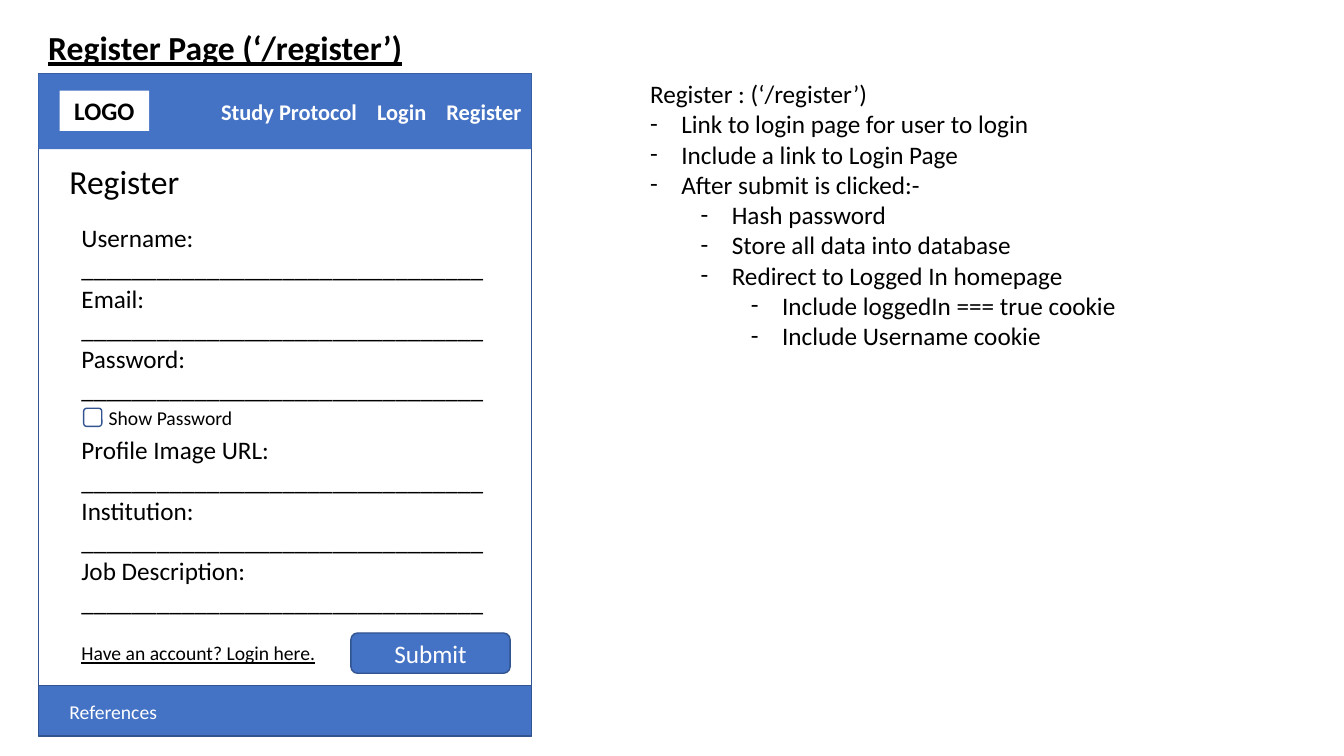
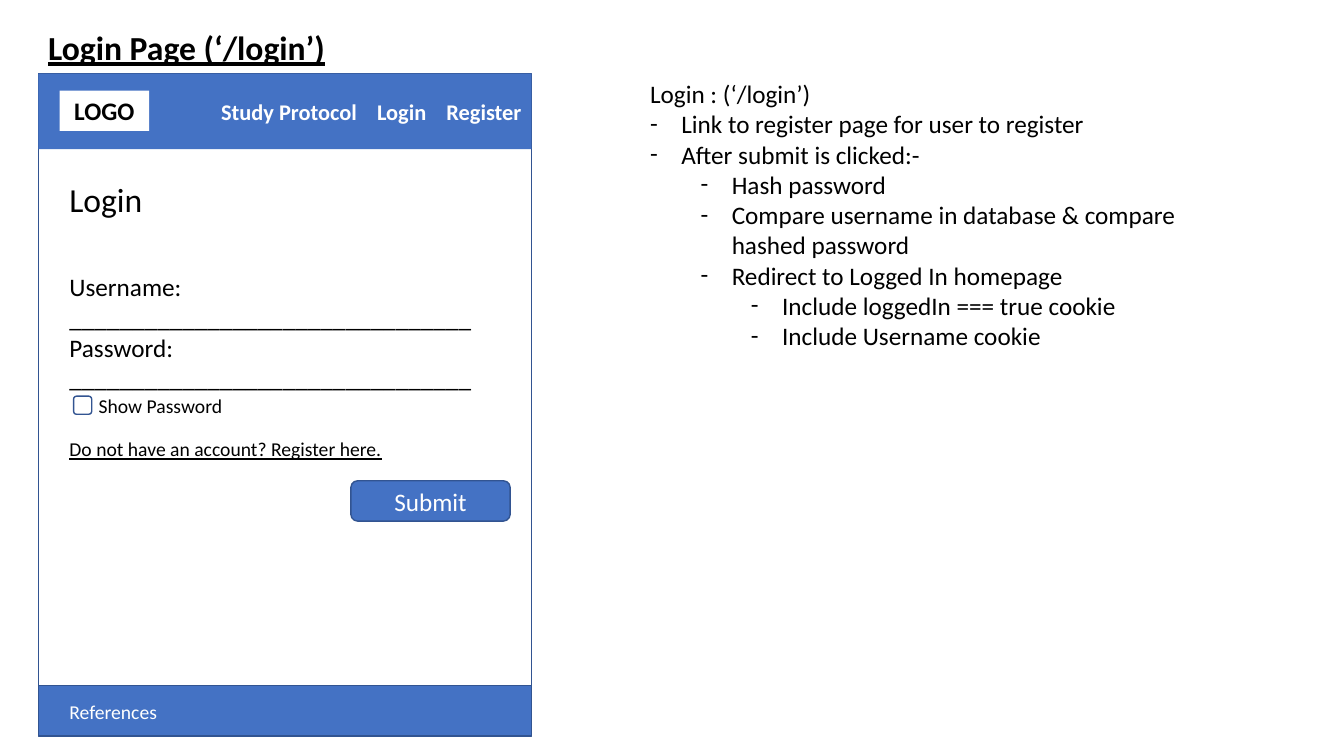
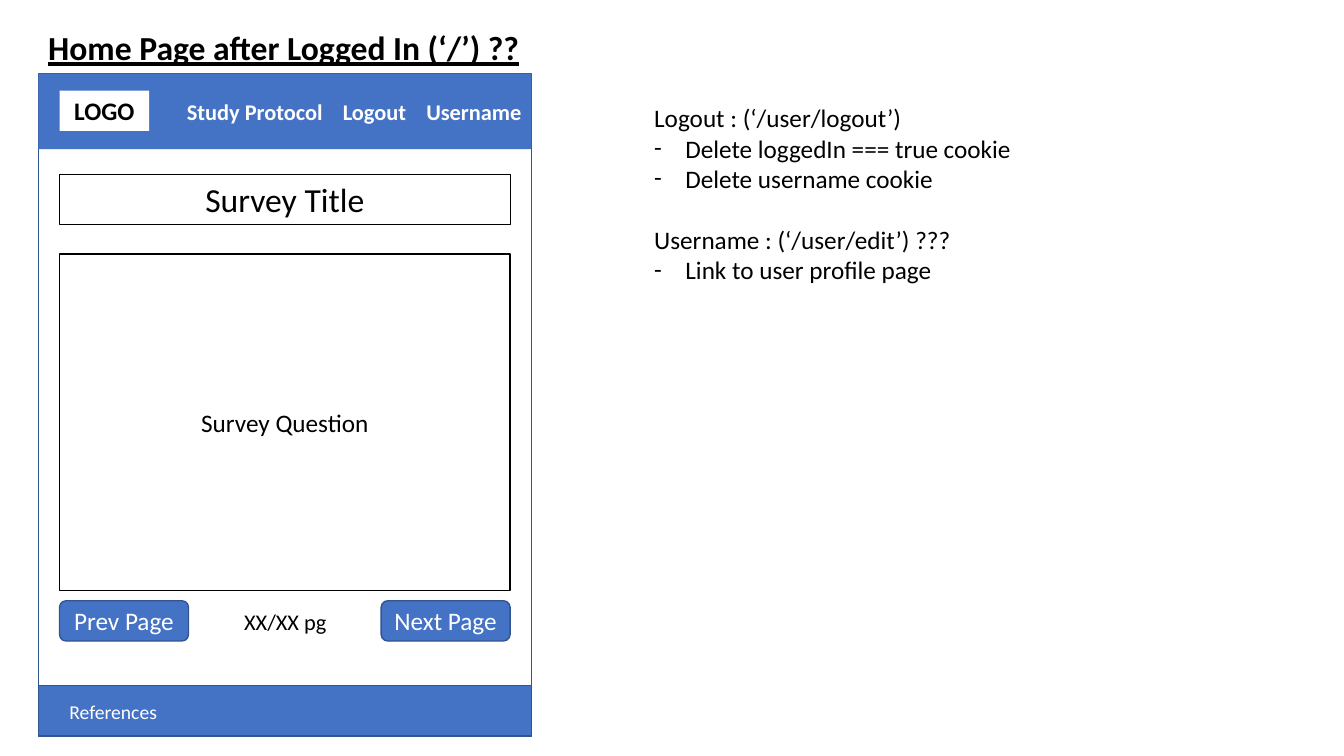
"""Builds three wireframe slides for a survey site: register, login and home page."""
import pptx
import pptx.dml.color
import pptx.enum.shapes
import pptx.enum.text
import pptx.oxml.ns
import pptx.util
from lxml import etree

Inches = pptx.util.Inches
Pt = pptx.util.Pt
Shapes = pptx.enum.shapes.MSO_SHAPE
Align = pptx.enum.text.PP_ALIGN
Anchor = pptx.enum.text.MSO_ANCHOR

COLOURS = {"blue": "4472C4", "edge": "325491", "white": "FFFFFF", "black": "000000"}
FONT = "Calibri"
BLANK_LINE = 22
FRAME_LEFT, FRAME_TOP, FRAME_WIDTH, FRAME_HEIGHT = 0.38, 0.73, 4.89, 6.58
BODY_LEFT, BODY_WIDTH = 0.59, 4.47
BODY_RIGHT = BODY_LEFT + BODY_WIDTH
BUTTON_HEIGHT = 0.4
FIELD_LINE = "_" * 32


def colour(name):
    return pptx.dml.color.RGBColor.from_string(COLOURS[name])


class Wireframes:
    def __init__(self):
        self.deck = pptx.Presentation()
        self.deck.slide_width = Inches(13.33)
        self.deck.slide_height = Inches(7.5)
        self.page = None

    def style(self, box, size, ink, align=Align.LEFT, bold=False, underline=False):
        for para in box.text_frame.paragraphs:
            para.alignment = align
            for span in para.runs:
                span.font.name = FONT
                span.font.size = Pt(size)
                span.font.bold = bold
                span.font.underline = underline
                span.font.color.rgb = colour(ink)

    def text(self, left, top, width, height, words, size=18, ink="black", **look):
        box = self.page.shapes.add_textbox(
            Inches(left), Inches(top), Inches(width), Inches(height))
        box.text_frame.word_wrap = True
        box.text_frame.text = words
        self.style(box, size, ink, **look)
        return box

    def shape(self, left, top, width, height, fill=None, line=None, weight=1,
              words="", size=18, ink="black", kind=Shapes.RECTANGLE, **look):
        box = self.page.shapes.add_shape(
            kind, Inches(left), Inches(top), Inches(width), Inches(height))
        box.shadow.inherit = False
        if fill:
            box.fill.solid()
            box.fill.fore_color.rgb = colour(fill)
        else:
            box.fill.background()
        if line:
            box.line.color.rgb = colour(line)
            box.line.width = Pt(weight)
        else:
            box.line.fill.background()
        if words:
            box.text_frame.word_wrap = True
            box.text_frame.vertical_anchor = Anchor.MIDDLE
            box.text_frame.text = words
            self.style(box, size, ink, **{"align": Align.CENTER, **look})
        return box

    def navigation(self, items):
        bar = self.shape(FRAME_LEFT, FRAME_TOP, FRAME_WIDTH, 0.75, fill="blue")
        bar.text_frame.vertical_anchor = Anchor.MIDDLE
        para = bar.text_frame.paragraphs[0]
        for number, item in enumerate(items):
            if number:
                gap = para.add_run()
                gap.text = " "
                gap.font._element.set("spc", "1080")
            para.add_run().text = item
        self.style(bar, 16, "white", align=Align.RIGHT, bold=True)

    def new_page(self, title, items):
        self.page = self.deck.slides.add_slide(self.deck.slide_layouts[6])
        self.shape(FRAME_LEFT, FRAME_TOP, FRAME_WIDTH, FRAME_HEIGHT, line="edge")
        self.text(FRAME_LEFT, 0.22, 8.18, 0.5, title, 24, bold=True, underline=True)
        self.navigation(items)
        self.shape(BODY_LEFT, 0.9, 0.89, 0.4, fill="white", words="LOGO", bold=True)
        self.shape(FRAME_LEFT, 6.8, FRAME_WIDTH, 0.5, fill="blue", line="edge")
        self.text(BODY_LEFT, 6.89, 1.2, 0.34, "References", 14, "white")

    def heading(self, top, words):
        self.text(BODY_LEFT, top, BODY_WIDTH, 0.5, words, 24)

    def form(self, left, top, height, labels, gap_before=None):
        words = "\n".join(f"{label}:\n{FIELD_LINE}" for label in labels)
        box = self.text(left, top, 4.24, height, words)
        box.text_frame.vertical_anchor = Anchor.MIDDLE
        for para in box.text_frame.paragraphs:
            if para.text == f"{gap_before}:":
                para.space_before = Pt(BLANK_LINE)

    def checkbox(self, left, top, words):
        self.shape(left, top, 0.18, 0.18, line="edge", kind=Shapes.ROUNDED_RECTANGLE)
        self.text(left + 0.15, top - 0.07, 1.6, 0.34, words, 14)

    def link(self, left, top, words):
        self.text(left, top, 3.58, 0.34, words, 14, underline=True)

    def button(self, left, top, width, words):
        self.shape(left, top, width, BUTTON_HEIGHT, fill="blue", line="edge",
                   words=words, ink="white", kind=Shapes.ROUNDED_RECTANGLE)

    def notes(self, left, top, height, lines):
        words = "\n".join(line for level, line in lines)
        box = self.text(left, top, 6.04, height, words)
        for number, (level, line) in enumerate(lines):
            para = box.text_frame.paragraphs[number]
            if level:
                para.level = level - 1
                properties = para._p.get_or_add_pPr()
                properties.set("marL", str(Inches(0.31 + 0.5 * (level - 1))))
                properties.set("indent", str(Inches(-0.31)))
                for tag, key, value in (("a:buFont", "typeface", FONT),
                                        ("a:buChar", "char", "-")):
                    mark = etree.SubElement(properties, pptx.oxml.ns.qn(tag))
                    mark.set(key, value)
            elif number:
                para.space_before = Pt(BLANK_LINE)


def main():
    frames = Wireframes()
    visitor_items = ("Study Protocol", "Login", "Register")
    cookie_notes = [
        (2, "Redirect to Logged In homepage"),
        (3, "Include loggedIn === true cookie"),
        (3, "Include Username cookie"),
    ]
    submit_width, pager_width = 1.58, 1.28

    frames.new_page("Register Page (‘/register’)", visitor_items)
    frames.heading(1.55, "Register")
    frames.form(0.71, 2.14, 4.04,
                ("Username", "Email", "Password", "Profile Image URL",
                 "Institution", "Job Description"),
                gap_before="Profile Image URL")
    frames.checkbox(0.83, 4.05, "Show Password")
    frames.link(0.71, 6.31, "Have an account? Login here.")
    frames.button(BODY_RIGHT - submit_width, 6.28, submit_width, "Submit")
    frames.notes(6.35, 0.73, 2.83, [
        (0, "Register : (‘/register’)"),
        (1, "Link to login page for user to login"),
        (1, "Include a link to Login Page"),
        (1, "After submit is clicked:-"),
        (2, "Hash password"),
        (2, "Store all data into database"),
    ] + cookie_notes)

    frames.new_page("Login Page (‘/login’)", visitor_items)
    frames.heading(1.73, "Login")
    frames.form(BODY_LEFT, 2.64, 1.31, ("Username", "Password"))
    frames.checkbox(0.73, 3.93, "Show Password")
    frames.link(BODY_LEFT, 4.29, "Do not have an account? Register here.")
    frames.button(BODY_RIGHT - submit_width, 4.77, submit_width, "Submit")
    frames.notes(6.35, 0.73, 2.83, [
        (0, "Login : (‘/login’)"),
        (1, "Link to register page for user to register"),
        (1, "After submit is clicked:-"),
        (2, "Hash password"),
        (2, "Compare username in database & compare hashed password"),
    ] + cookie_notes)

    frames.new_page("Home Page after Logged In (‘/’) ??",
                    ("Study Protocol", "Logout", "Username"))
    frames.shape(BODY_LEFT, 1.73, BODY_WIDTH, 0.5, line="black", weight=0.75,
                 words="Survey Title", size=24)
    frames.shape(BODY_LEFT, 2.52, BODY_WIDTH, 3.34, fill="white", line="black",
                 words="Survey Question")
    frames.button(BODY_LEFT, 5.96, pager_width, "Prev Page")
    frames.text(2.28, 5.98, 1.1, 0.37, "XX/XX pg", 16, align=Align.CENTER)
    frames.button(BODY_RIGHT - pager_width, 5.96, pager_width, "Next Page")
    frames.notes(6.39, 0.97, 2.22, [
        (0, "Logout : (‘/user/logout’)"),
        (1, "Delete loggedIn === true cookie"),
        (1, "Delete username cookie"),
        (0, "Username : (‘/user/edit’) ???"),
        (1, "Link to user profile page"),
    ])

    frames.deck.save("out.pptx")


if __name__ == "__main__":
    main()
